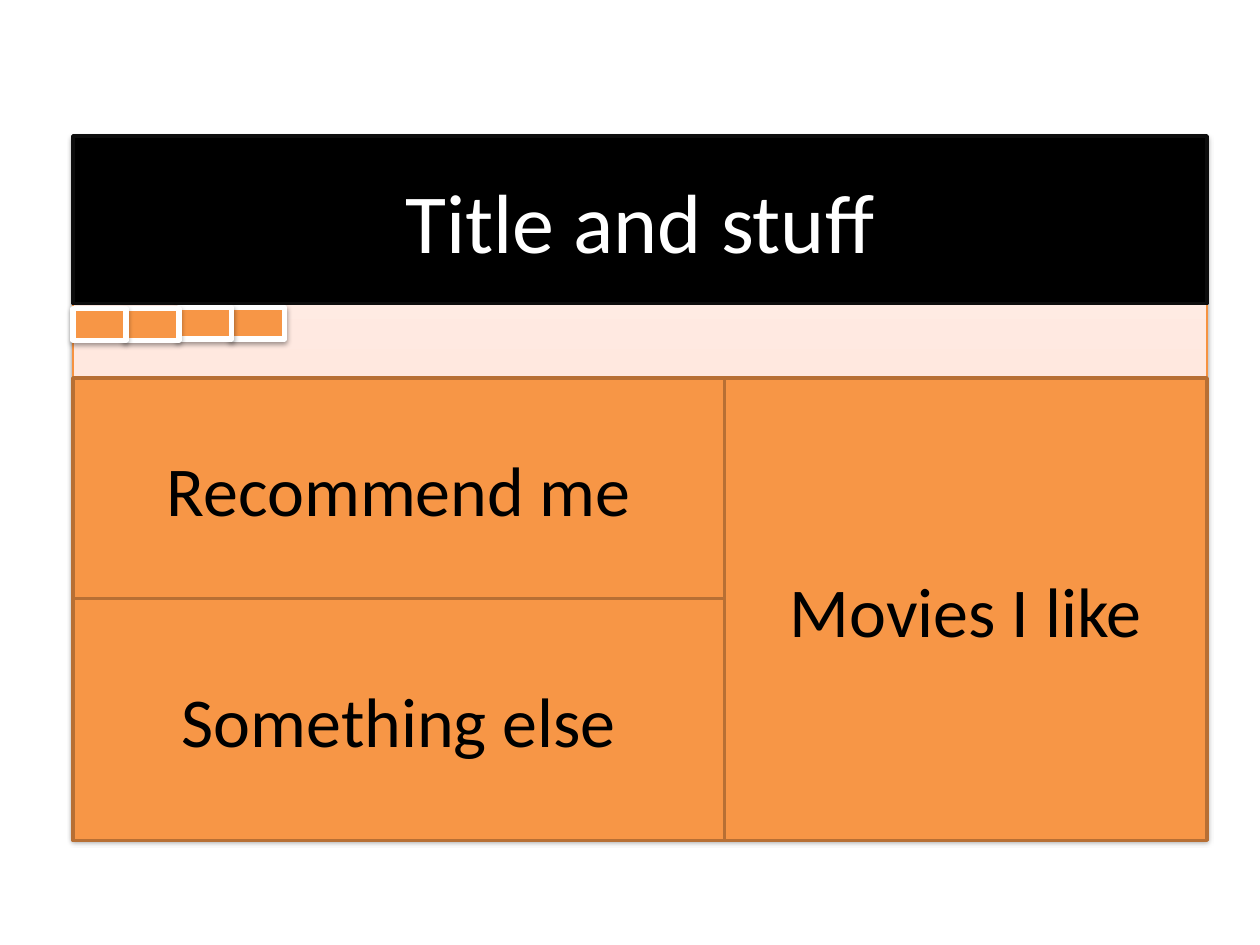
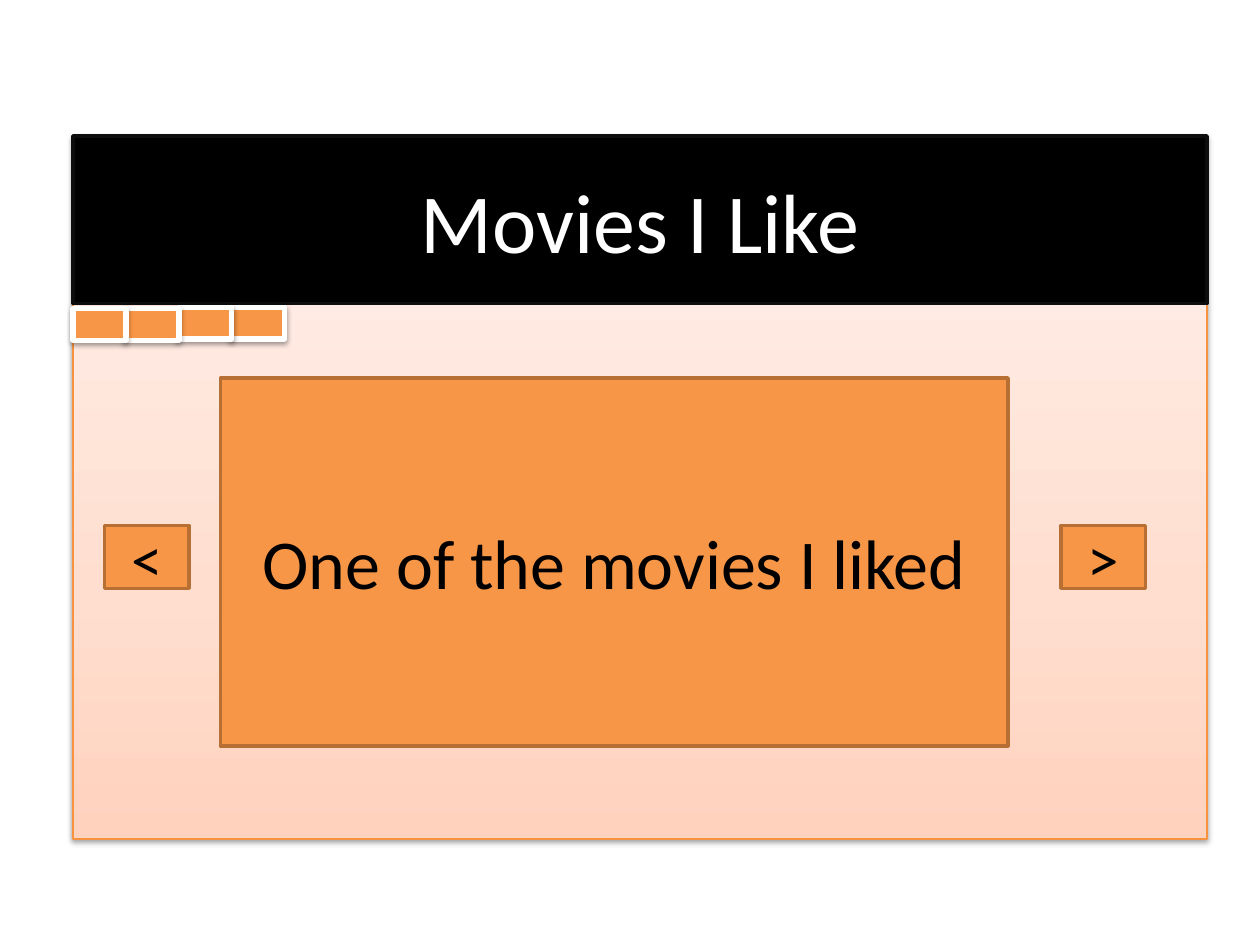
from lxml.etree import SubElement
from pptx import Presentation
from pptx.dml.color import RGBColor
from pptx.enum.shapes import MSO_SHAPE
from pptx.enum.text import MSO_ANCHOR, PP_ALIGN
from pptx.oxml.ns import qn
from pptx.util import Inches, Pt

BLACK = RGBColor(0x00, 0x00, 0x00)
WHITE = RGBColor(0xFF, 0xFF, 0xFF)
BANNER_LINE = RGBColor(0x0D, 0x0D, 0x0D)
ORANGE = RGBColor(0xF7, 0x96, 0x46)
BROWN = RGBColor(0xB7, 0x6F, 0x34)
FRAME_LINE = RGBColor(0xF6, 0x92, 0x40)
FRAME_STOPS = [(0, "FFD2BD"), (35, "FFDED0"), (100, "FFF2ED")]
FONT = "Calibri"

# Frame of the mocked-up window, in inches
LEFT, TOP, WIDTH, HEIGHT = 0.58, 1.08, 9, 5.58
BANNER_HEIGHT = 1.33
TAB_WIDTH, TAB_HEIGHT = 0.42, 0.25
TAB_TOPS = [2.45, 2.45, 2.44, 2.44]

# Split of the home screen
BODY_TOP, BODY_BOTTOM = 3, 6.67
SPLIT_X, SPLIT_Y, RIGHT = 5.75, 4.75, LEFT + WIDTH

# Arrow buttons of the browsing screen
ARROW_TOP, ARROW_WIDTH, ARROW_HEIGHT = 4.17, 0.67, 0.5

# Each panel: text, (left, top, width, height), text size
SCREENS = [
    ("Title and stuff", [
        ("Recommend me",
         (LEFT, BODY_TOP, SPLIT_X - LEFT, SPLIT_Y - BODY_TOP), 40),
        ("Movies I like",
         (SPLIT_X, BODY_TOP, RIGHT - SPLIT_X, BODY_BOTTOM - BODY_TOP), 40),
        ("Something else",
         (LEFT, SPLIT_Y, SPLIT_X - LEFT, BODY_BOTTOM - SPLIT_Y), 40),
    ]),
    ("Movies I Like", [
        ("One of the movies I liked", (1.75, BODY_TOP, 6.25, 2.92), 40),
        (">", (8.42, ARROW_TOP, ARROW_WIDTH, ARROW_HEIGHT), 36),
        ("<", (0.83, ARROW_TOP, ARROW_WIDTH, ARROW_HEIGHT), 36),
    ]),
]


def add_color(parent, value):
    """Append an RGB colour element and return it."""
    return SubElement(parent, qn("a:srgbClr"), val=value)


def add_shadow(box):
    """Give a box a soft shadow straight below it."""
    effects = box._element.spPr.find(qn("a:effectLst"))
    shadow = SubElement(effects, qn("a:outerShdw"), blurRad=str(Pt(3.1)),
                        dist=str(Pt(1.6)), dir="5400000", rotWithShape="0")
    SubElement(add_color(shadow, "000000"), qn("a:alpha"), val="38000")


def fill_gradient(box, stops):
    """Fill a box with colour stops that run from bottom to top."""
    box.fill.gradient()
    box.fill.gradient_angle = 90
    stop_list = box._element.spPr.find(qn("a:gradFill")).find(qn("a:gsLst"))
    for old_stop in list(stop_list):
        stop_list.remove(old_stop)
    for percent, value in stops:
        stop = SubElement(stop_list, qn("a:gs"), pos=str(percent * 1000))
        add_color(stop, value)


def add_box(page, place, fill, line, weight, shadow=False):
    """Draw a rectangle; a list as fill means gradient stops."""
    box = page.shapes.add_shape(MSO_SHAPE.RECTANGLE, *map(Inches, place))
    box.shadow.inherit = False
    if shadow:
        add_shadow(box)
    if isinstance(fill, list):
        fill_gradient(box, fill)
    else:
        box.fill.solid()
        box.fill.fore_color.rgb = fill
    box.line.color.rgb = line
    box.line.width = Pt(weight)
    return box


def write_text(box, text, *, size, color=BLACK):
    """Write one centred line into a box."""
    frame = box.text_frame
    frame.word_wrap = True
    frame.vertical_anchor = MSO_ANCHOR.MIDDLE
    para = frame.paragraphs[0]
    para.alignment = PP_ALIGN.CENTER
    span = para.add_run()
    span.text = text
    span.font.name = FONT
    span.font.size = Pt(size)
    span.font.color.rgb = color


def add_window(page, title):
    """Draw the shaded frame and its title banner."""
    add_box(page, (LEFT, TOP, WIDTH, HEIGHT), FRAME_STOPS, FRAME_LINE, 0.75,
            shadow=True)
    banner = add_box(page, (LEFT, TOP, WIDTH, BANNER_HEIGHT),
                     BLACK, BANNER_LINE, 2)
    write_text(banner, title, size=48, color=WHITE)


def add_tabs(page):
    """Draw the row of tabs, the leftmost one in front."""
    for index, top in reversed(list(enumerate(TAB_TOPS))):
        place = (LEFT + index * TAB_WIDTH, top, TAB_WIDTH, TAB_HEIGHT)
        add_box(page, place, ORANGE, WHITE, 3, shadow=True)


def build_deck():
    """Build one slide for each screen and save the deck."""
    deck = Presentation()
    deck.slide_width, deck.slide_height = Inches(10), Inches(7.5)
    for title, panels in SCREENS:
        page = deck.slides.add_slide(deck.slide_layouts[6])
        add_window(page, title)
        for text, place, size in panels:
            panel = add_box(page, place, ORANGE, BROWN, 2)
            write_text(panel, text, size=size)
        add_tabs(page)
    deck.save("out.pptx")


build_deck()
